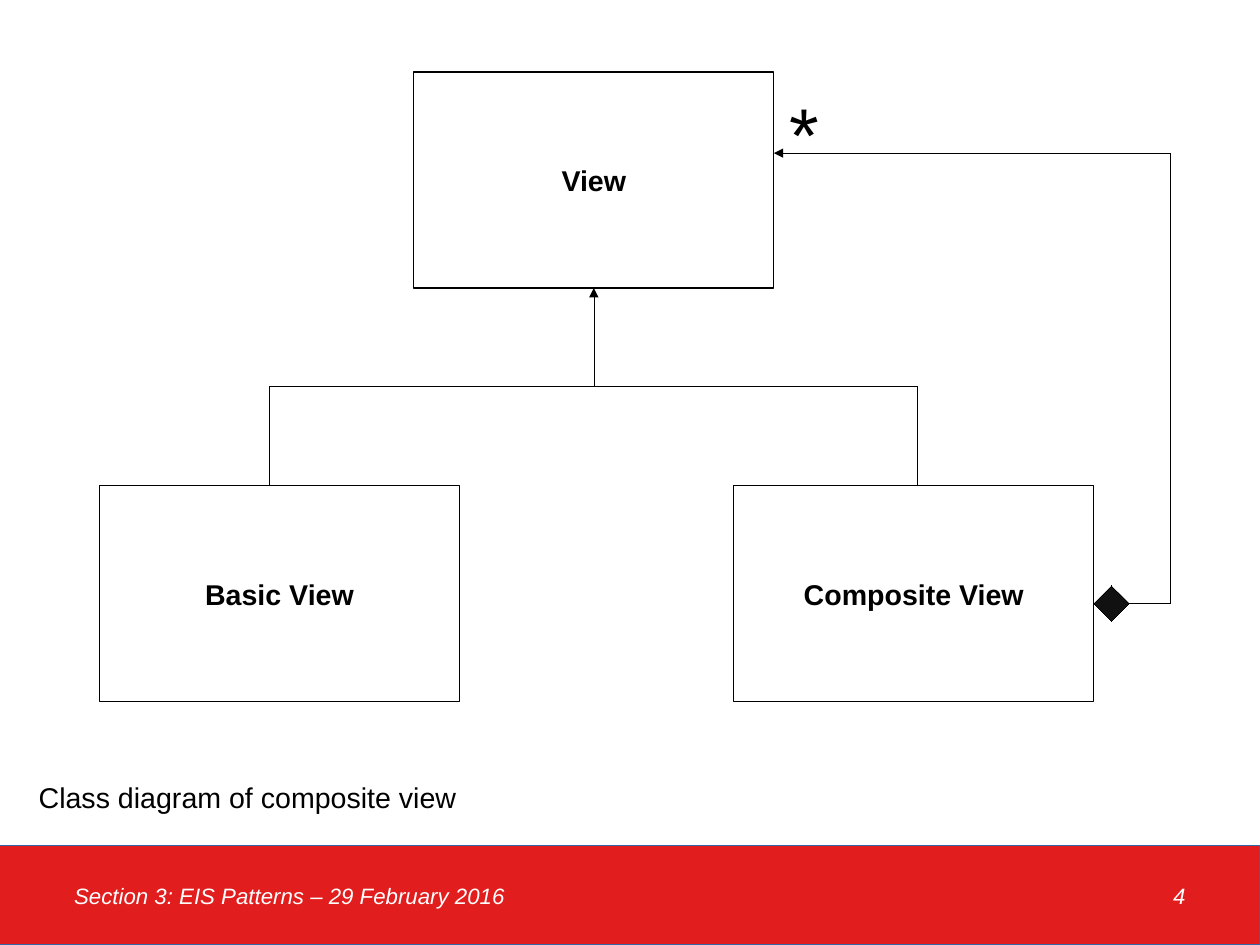
import pptx
import pptx.util
import pptx.dml.color
import pptx.enum.shapes
import pptx.enum.text
from lxml import etree

Inches, Pt = pptx.util.Inches, pptx.util.Pt
RGBColor = pptx.dml.color.RGBColor
SHAPE = pptx.enum.shapes.MSO_SHAPE
ALIGN = pptx.enum.text.PP_ALIGN
ANCHOR = pptx.enum.text.MSO_ANCHOR

BLACK = RGBColor(0x00, 0x00, 0x00)
WHITE = RGBColor(0xFF, 0xFF, 0xFF)
RED = RGBColor(0xE1, 0x1D, 0x1E)
BLUE = RGBColor(0x34, 0x65, 0xA4)
DARK = RGBColor(0x11, 0x11, 0x11)

FOOTER = "Section 3: EIS Patterns – 29 February 2016"
PAGE = "4"
CAPTION = "Class diagram of composite view"
MANY = "*"
CLASSES = [("Basic View", 0.87, 4.25), ("Composite View", 6.42, 4.25), ("View", 3.62, 0.63)]

SLIDE_W, SLIDE_H = 28 / 2.54, 21 / 2.54  # 28 by 21 cm
BAR_H = 0.87
BAR_Y = SLIDE_H - BAR_H
BOX_W, BOX_H = 3.15, 1.89
DIAMOND = 0.31

view_x, view_y = CLASSES[2][1:]
view_right, view_bottom = view_x + BOX_W, view_y + BOX_H
child_top = CLASSES[1][2]
composite_right = CLASSES[1][1] + BOX_W
left_x, right_x = 2.36, 8.03
mid_x, fork_y = (left_x + right_x) / 2, (view_bottom + child_top) / 2
loop_x, loop_top, loop_bottom = 10.24, 1.34, 5.28

# Each route is a list of corners; an arrow closes its last leg when asked.
ROUTES = [
    ([(left_x, child_top), (left_x, fork_y), (right_x, fork_y), (right_x, child_top)], False),
    ([(mid_x, fork_y), (mid_x, view_bottom)], True),
    ([(composite_right, loop_bottom), (loop_x, loop_bottom), (loop_x, loop_top),
      (view_right, loop_top)], True),
]


def write(shape, text, size=18, color=BLACK, bold=False, italic=False,
          align=ALIGN.LEFT, anchor=ANCHOR.TOP, wrap=True):
    tf = shape.text_frame
    tf.word_wrap = wrap
    tf.vertical_anchor = anchor
    p = tf.paragraphs[0]
    p.alignment = align
    r = p.add_run()
    r.text = text
    r.font.name, r.font.size = "Arial", Pt(size)
    r.font.bold, r.font.italic = bold, italic
    r.font.color.rgb = color


def add_text(s, text, x, y, w, h, **style):
    write(s.shapes.add_textbox(Inches(x), Inches(y), Inches(w), Inches(h)), text, **style)


def set_line(shape, color, width):
    """Colour the line and write its width out, since a width of 0 is a hairline."""
    shape.line.color.rgb = color
    ln = shape.line._get_or_add_ln()
    ln.set("w", str(int(Pt(width))))
    return ln


def add_block(s, kind, x, y, w, h, fill, line=BLACK, width=0):
    sp = s.shapes.add_shape(kind, Inches(x), Inches(y), Inches(w), Inches(h))
    sp.shadow.inherit = False
    sp.fill.solid()
    sp.fill.fore_color.rgb = fill
    set_line(sp, line, width)
    return sp


def add_leg(s, start, end, arrow):
    c = s.shapes.add_connector(pptx.enum.shapes.MSO_CONNECTOR.STRAIGHT,
                               *(Inches(v) for v in start + end))
    ln = set_line(c, BLACK, 0)
    if arrow:
        etree.SubElement(ln, pptx.oxml.ns.qn("a:tailEnd"), type="triangle")
    etree.SubElement(c._element.spPr, pptx.oxml.ns.qn("a:effectLst"))


def main():
    prs = pptx.Presentation()
    prs.slide_width, prs.slide_height = Inches(SLIDE_W), Inches(SLIDE_H)
    s = prs.slides.add_slide(prs.slide_layouts[6])

    add_block(s, SHAPE.RECTANGLE, 0, BAR_Y, SLIDE_W, BAR_H, RED, BLUE)
    footer = dict(size=14, color=WHITE, italic=True, anchor=ANCHOR.MIDDLE)
    add_text(s, PAGE, 7.02, BAR_Y, 3.45, BAR_H, align=ALIGN.RIGHT, **footer)
    add_text(s, FOOTER, 0.55, BAR_Y, 6.22, BAR_H, **footer)
    add_text(s, CAPTION, 0.24, 6.77, 3.94, 0.38)

    for name, x, y in CLASSES:
        sp = add_block(s, SHAPE.RECTANGLE, x, y, BOX_W, BOX_H, WHITE, width=0.79)
        write(sp, name, bold=True, align=ALIGN.CENTER, anchor=ANCHOR.MIDDLE, wrap=False)

    for corners, arrow in ROUTES:
        legs = list(zip(corners, corners[1:]))
        for i, (start, end) in enumerate(legs, 1):
            add_leg(s, start, end, arrow and i == len(legs))

    add_text(s, MANY, 6.81, 0.71, 0.79, 0.85, size=48)
    add_block(s, SHAPE.DIAMOND, composite_right, loop_bottom - DIAMOND / 2,
              DIAMOND, DIAMOND, DARK)
    prs.save("out.pptx")


if __name__ == "__main__":
    main()
